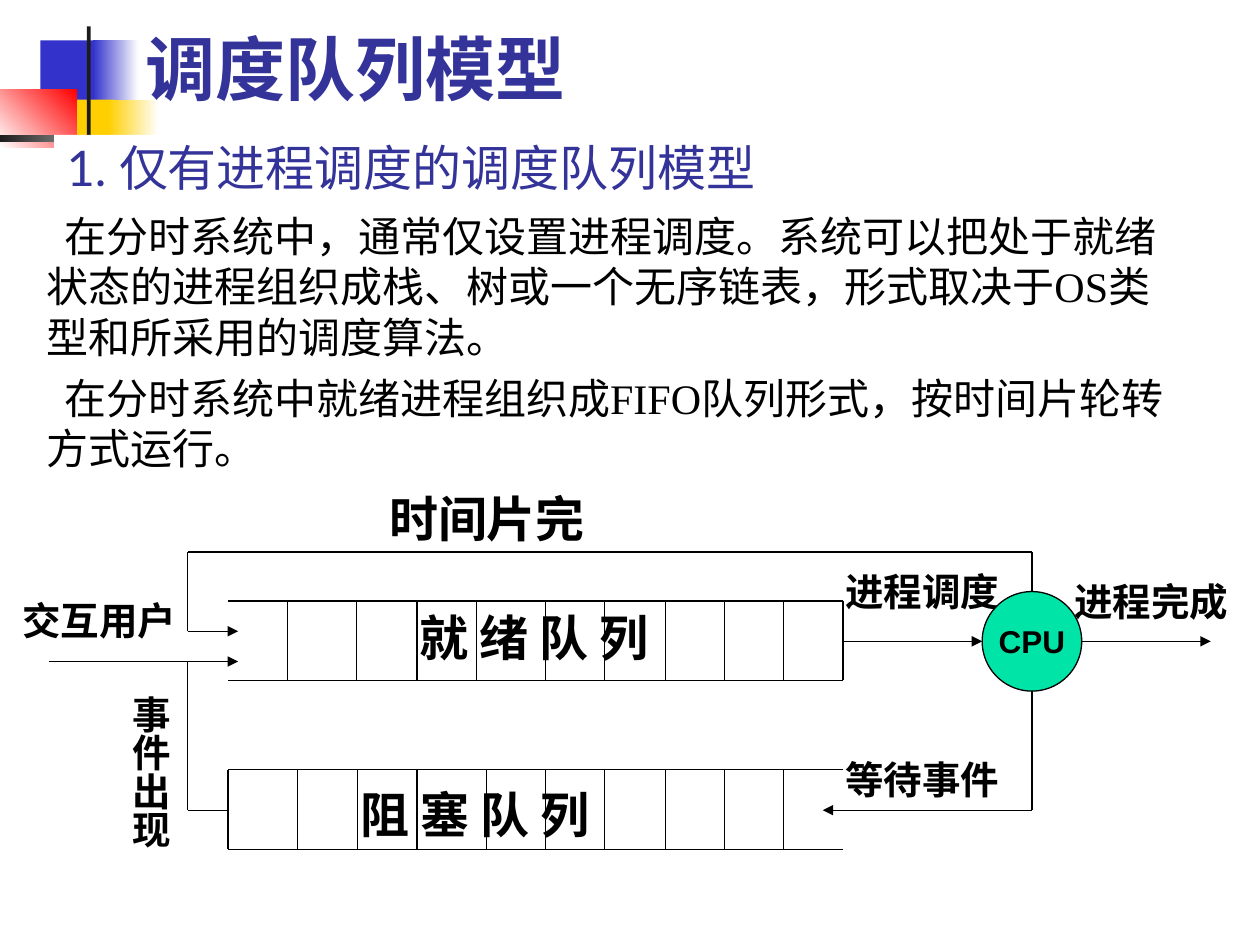
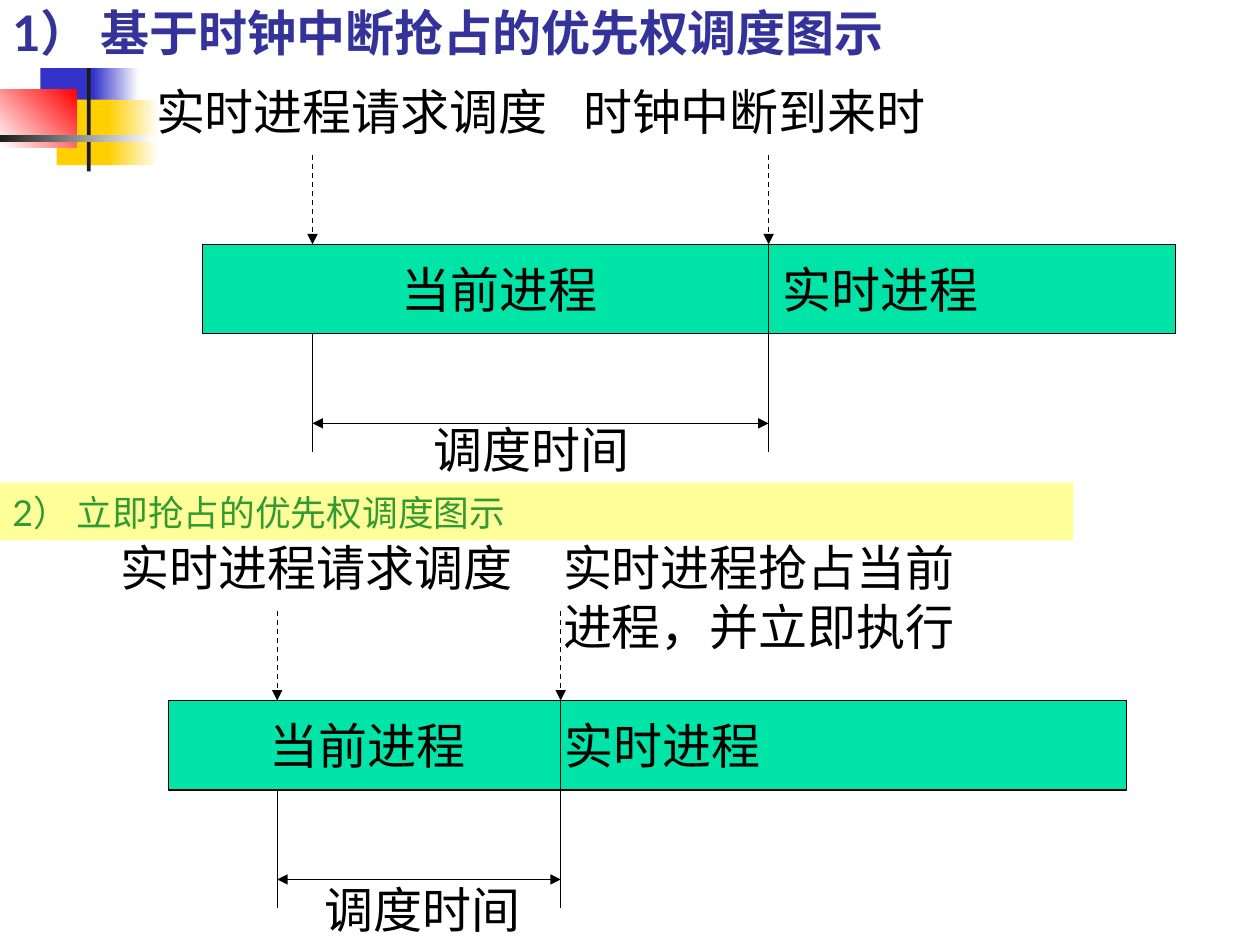
from dataclasses import dataclass

from lxml import etree
from pptx import Presentation
from pptx.dml.color import RGBColor
from pptx.enum import dml, shapes, text
from pptx.oxml.ns import qn
from pptx.util import Inches, Pt


@dataclass(frozen=True)
class Theme:
    white: str = "FFFFFF"
    black: str = "000000"
    charcoal: str = "1C1C1C"
    blue: str = "3333CC"
    gold: str = "FFCF01"
    red: str = "FF0000"
    title: str = "333399"
    process: str = "00E4A8"
    band: str = "FFFF99"
    band_text: str = "339933"
    title_font: str = "Lato"
    body_font: str = "Times New Roman"
    label_font: str = "Arial"
    heading_size: float = 40
    title_size: float = 28
    body_size: float = 24
    band_size: float = 20.4
    label_size: float = 28
    small_label_size: float = 22
    cpu_size: float = 18
    line_width: float = 0.75


theme = Theme()


def write(shape, lines, size, font=theme.label_font, color=theme.black, bold=False,
          anchor=text.MSO_ANCHOR.TOP, align=text.PP_ALIGN.LEFT, wrap=True, gap=0, indent=0):
    frame = shape.text_frame
    frame.word_wrap = wrap
    frame.vertical_anchor = anchor
    for index, line in enumerate(lines):
        paragraph = frame.add_paragraph() if index else frame.paragraphs[0]
        paragraph.alignment = align
        if index:
            paragraph.space_before = Pt(gap)
        if indent:
            paragraph._p.get_or_add_pPr().set("indent", str(Inches(indent)))
        run = paragraph.add_run()
        run.text = line
        run.font.size = Pt(size)
        run.font.name = font
        run.font.bold = bold
        run.font.color.rgb = RGBColor.from_string(color)
    return frame


def connect(slide, x1, y1, x2, y2, arrows=(), dashed=False):
    connector = slide.shapes.add_connector(
        shapes.MSO_CONNECTOR.STRAIGHT, Inches(x1), Inches(y1), Inches(x2), Inches(y2))
    connector.line.color.rgb = RGBColor.from_string(theme.black)
    connector.line.width = Pt(theme.line_width)
    if dashed:
        connector.line.dash_style = dml.MSO_LINE.DASH
    properties = connector._element.spPr
    for end in arrows:
        etree.SubElement(properties.get_or_add_ln(), qn(f"a:{end}")).set("type", "triangle")
    etree.SubElement(properties, qn("a:effectLst"))


presentation = Presentation()
presentation.slide_width = Inches(10)
presentation.slide_height = Inches(7.5)
blank = presentation.slide_layouts[6]
queue_slide = presentation.slides.add_slide(blank)
priority_slide = presentation.slides.add_slide(blank)

ornament = [
    ((0.32, 0.32, 0.48, 0.52), [theme.blue], 0),
    ((0.74, 0.32, 0.36, 0.52), [theme.blue, theme.white], 0),
    ((0.45, 0.79, 0.46, 0.52), [theme.gold], 0),
    ((0.86, 0.79, 0.4, 0.52), [theme.gold, theme.white], 0),
    ((0, 0.71, 0.61, 0.46), [theme.white, theme.red], 45),
    ((0.69, 0.21, 0.03, 1.15), [theme.charcoal], 0),
    ((0, 1.07, 1.22, 0.06), [theme.charcoal, theme.white], 0),
]
titles = [
    (queue_slide, 0.43, 1.07, "1. 仅有进程调度的调度队列模型", False),
    (priority_slide, 0, 0, "1） 基于时钟中断抢占的优先权调度图示", True),
]
for slide, left, top, title, bold in titles:
    for box, colors, angle in ornament:
        shape = slide.shapes.add_shape(shapes.MSO_SHAPE.RECTANGLE, *map(Inches, box))
        shape.shadow.inherit = False
        shape.line.fill.background()
        if len(colors) == 1:
            shape.fill.solid()
            shape.fill.fore_color.rgb = RGBColor.from_string(colors[0])
        else:
            shape.fill.gradient()
            shape.fill.gradient_angle = angle
            for stop, color in zip(shape.fill.gradient_stops, colors):
                stop.color.rgb = RGBColor.from_string(color)
    title_box = slide.shapes.add_textbox(Inches(left), Inches(top), Inches(8.52), Inches(0.54))
    title_box.fill.solid()
    title_box.fill.fore_color.rgb = RGBColor.from_string(theme.white)
    write(title_box, [title], theme.title_size, theme.title_font, theme.title, bold,
          text.MSO_ANCHOR.BOTTOM)

body = queue_slide.shapes.add_textbox(Inches(0.27), Inches(1.62), Inches(9.18), Inches(2.2))
write(body, [
    "在分时系统中，通常仅设置进程调度。系统可以把处于就绪状态的进程组织成栈、树或一个无序链表，"
    "形式取决于OS类型和所采用的调度算法。",
    "在分时系统中就绪进程组织成FIFO队列形式，按时间片轮转方式运行。",
], theme.body_size, theme.body_font, gap=6, indent=0.14)
heading = queue_slide.shapes.add_textbox(Inches(1.06), Inches(0.21), Inches(8.52), Inches(0.71))
write(heading, ["调度队列模型"], theme.heading_size, theme.title_font, theme.title, True,
      text.MSO_ANCHOR.BOTTOM)

queue_left, queue_right, queue_height = 1.81, 6.69, 0.63
queues = [
    (4.77, [2.28, 2.83, 3.31, 3.78, 4.33, 4.8, 5.28, 5.75, 6.22, queue_right]),
    (6.11, [queue_left, 2.36, 2.84, 3.31, 3.86, 4.33, 4.8, 5.28, 5.75, 6.22]),
]
for top, dividers in queues:
    for y in (top, top + queue_height):
        connect(queue_slide, queue_left, y, queue_right, y)
    for x in dividers:
        connect(queue_slide, x, top, x, top + queue_height)

cpu_x, cpu_y, cpu_size = 8.19, 5.09, 0.79
loop_x, loop_y, wait_y = 1.49, 4.38, 6.43
cpu_top, cpu_bottom = cpu_y - cpu_size / 2, cpu_y + cpu_size / 2
cpu_left, cpu_right = cpu_x - cpu_size / 2, cpu_x + cpu_size / 2
cpu = queue_slide.shapes.add_shape(
    shapes.MSO_SHAPE.OVAL, Inches(cpu_left), Inches(cpu_top), Inches(cpu_size), Inches(cpu_size))
cpu.shadow.inherit = False
cpu.fill.solid()
cpu.fill.fore_color.rgb = RGBColor.from_string(theme.process)
cpu.line.color.rgb = RGBColor.from_string(theme.black)
cpu.line.width = Pt(theme.line_width)
write(cpu, ["CPU"], theme.cpu_size, bold=True, anchor=text.MSO_ANCHOR.MIDDLE,
      align=text.PP_ALIGN.CENTER, wrap=False)

flows = [
    [(cpu_x, cpu_top), (cpu_x, loop_y), (loop_x, loop_y), (loop_x, 5.01), (1.89, 5.01)],
    [(cpu_x, cpu_bottom), (cpu_x, wait_y), (6.53, wait_y)],
    [(queue_right, cpu_y), (cpu_left, cpu_y)],
    [(cpu_right, cpu_y), (9.61, cpu_y)],
    [(0.39, 5.25), (1.89, 5.25)],
]
for points in flows:
    for start, end in zip(points, points[1:]):
        connect(queue_slide, *start, *end, arrows=["tailEnd"] if end == points[-1] else [])
connect(queue_slide, loop_x, 5.25, loop_x, wait_y)
connect(queue_slide, loop_x, wait_y, queue_left, wait_y)

queue_labels = [
    ("就 绪 队 列", 3.23, 4.77, theme.label_size),
    ("阻 塞 队 列", 2.76, 6.18, theme.label_size),
    ("时间片完", 2.99, 3.83, theme.label_size),
    ("进程调度", 6.61, 4.46, theme.small_label_size),
    ("等待事件", 6.61, 5.95, theme.small_label_size),
    ("进程完成", 8.43, 4.54, theme.small_label_size),
    ("交互用户", 0.08, 4.69, theme.small_label_size),
]
for label, left, top, size in queue_labels:
    width, height = (2.13, 0.57) if size == theme.label_size else (1.57, 0.47)
    label_box = queue_slide.shapes.add_textbox(
        Inches(left), Inches(top), Inches(width), Inches(height))
    write(label_box, [label], size, bold=True)

event_box = queue_slide.shapes.add_textbox(Inches(0.87), Inches(5.42), Inches(0.56), Inches(1.32))
event_frame = write(event_box, ["事件出现"], theme.small_label_size, bold=True, wrap=False)
event_frame.margin_left = event_frame.margin_right = Inches(0.05)
event_frame.margin_top = event_frame.margin_bottom = Inches(0.1)
event_frame._txBody.bodyPr.set("vert", "eaVert")

band = priority_slide.shapes.add_textbox(Inches(0), Inches(3.83), Inches(8.52), Inches(0.46))
band.fill.solid()
band.fill.fore_color.rgb = RGBColor.from_string(theme.band)
band_frame = write(band, ["2） 立即抢占的优先权调度图示"], theme.band_size, theme.title_font,
                   theme.band_text, anchor=text.MSO_ANCHOR.BOTTOM)
band_frame.paragraphs[0].line_spacing = 0.9

timelines = [
    dict(left=1.61, top=1.94, width=7.72, request=2.48, switch=6.1,
         current=3.09, realtime=6.11, request_label=1.14, caption=(3.34, 3.28),
         switch_label=4.53, switch_text="时钟中断到来时"),
    dict(left=1.34, top=5.56, width=7.6, request=2.2, switch=4.45,
         current=2.04, realtime=4.38, request_label=0.86, caption=(2.48, 6.93),
         switch_label=4.37, switch_text="实时进程抢占当前进程，并立即执行"),
]
bar_height = 0.71
for timeline in timelines:
    top, request, switch = timeline["top"], timeline["request"], timeline["switch"]
    bar = priority_slide.shapes.add_shape(
        shapes.MSO_SHAPE.RECTANGLE, Inches(timeline["left"]), Inches(top),
        Inches(timeline["width"]), Inches(bar_height))
    bar.shadow.inherit = False
    bar.fill.solid()
    bar.fill.fore_color.rgb = RGBColor.from_string(theme.process)
    bar.line.color.rgb = RGBColor.from_string(theme.black)
    bar.line.width = Pt(theme.line_width)

    connect(priority_slide, request, top + bar_height, request, top + 1.65)
    connect(priority_slide, switch, top, switch, top + 1.65)
    connect(priority_slide, request, top + 1.42, switch, top + 1.42, ["headEnd", "tailEnd"])
    for x in (request, switch):
        connect(priority_slide, x, top - 0.71, x, top, ["tailEnd"], dashed=True)

    label_top, process_top = top - 1.34, top + 0.07
    timeline_labels = [
        ("当前进程", timeline["current"], process_top, 1.89),
        ("实时进程", timeline["realtime"], process_top, 1.89),
        ("实时进程请求调度", timeline["request_label"], label_top, 3.39),
        (timeline["switch_text"], timeline["switch_label"], label_top, 3.39),
        ("调度时间", *timeline["caption"], 1.89),
    ]
    for label, left, y, width in timeline_labels:
        label_box = priority_slide.shapes.add_textbox(
            Inches(left), Inches(y), Inches(width), Inches(0.57))
        write(label_box, [label], theme.label_size)

presentation.save("out.pptx")
